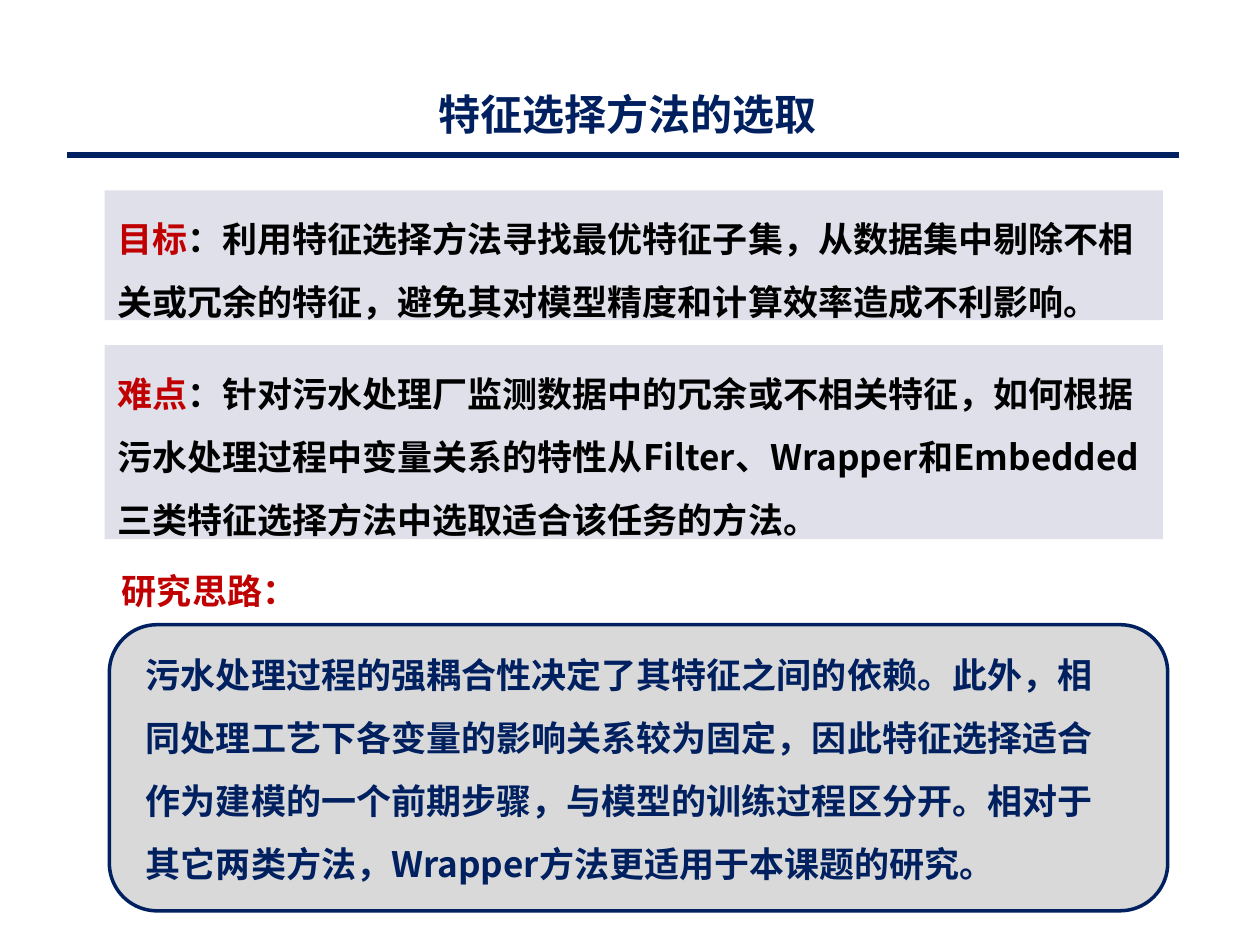
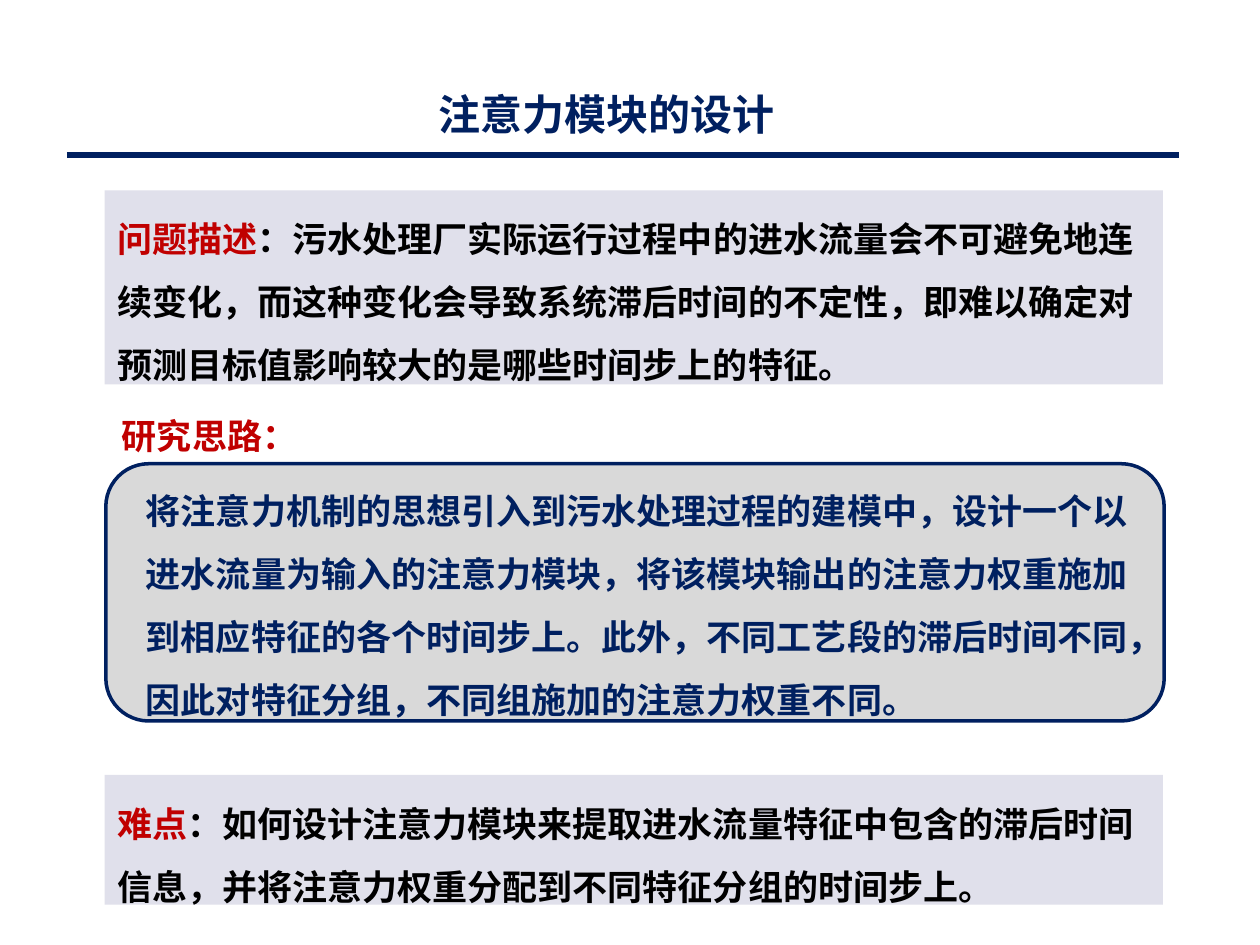
from dataclasses import dataclass

from lxml.etree import SubElement
from pptx import Presentation
from pptx.dml.color import RGBColor
from pptx.enum.shapes import MSO_CONNECTOR, MSO_SHAPE
from pptx.enum.text import MSO_ANCHOR, MSO_AUTO_SIZE, PP_ALIGN
from pptx.oxml.ns import qn
from pptx.util import Pt

FONT = "Noto Sans CJK SC"
NAVY, RED, BLACK = "002060", "C00000", "000000"
LAVENDER, GREY = "E0E0EB", "D9D9D9"
PANEL_LEFT, PANEL_WIDTH = 59.8, 604.8
TWO_LINES, THREE_LINES = 74.2, 110.9


@dataclass
class Panel:
    """A shaded statement that opens with a red keyword."""
    top: float
    height: float
    keyword: str
    text: str


@dataclass
class Idea:
    """A rounded card with its heading and its text box."""
    heading_top: float
    card: tuple[float, float, float]
    text_top: float
    text_width: float
    text: str


@dataclass
class Page:
    """The content of one slide."""
    title: str
    title_width: float
    panels: list[Panel]
    idea: Idea


PAGES = [
    Page("特征选择方法的选取", 234, [
        Panel(108.8, TWO_LINES, "目标",
              "：利用特征选择方法寻找最优特征子集，从数据集中剔除不相关或冗余的特征，"
              "避免其对模型精度和计算效率造成不利影响。"),
        Panel(197.2, THREE_LINES, "难点",
              "：针对污水处理厂监测数据中的冗余或不相关特征，如何根据污水处理过程中变量关系的特性"
              "从Filter、Wrapper和Embedded三类特征选择方法中选取适合该任务的方法。"),
    ], Idea(321.8, (62.5, 357, 163.5), 357.8, 568,
            "污水处理过程的强耦合性决定了其特征之间的依赖。此外，相同处理工艺下各变量的影响关系"
            "较为固定，因此特征选择适合作为建模的一个前期步骤，与模型的训练过程区分开。"
            "相对于其它两类方法，Wrapper方法更适用于本课题的研究。")),
    Page("注意力模块的设计", 209.5, [
        Panel(108.8, THREE_LINES, "问题描述",
              "：污水处理厂实际运行过程中的进水流量会不可避免地连续变化，而这种变化会导致系统"
              "滞后时间的不定性，即难以确定对预测目标值影响较大的是哪些时间步上的特征。"),
        Panel(442.8, TWO_LINES, "难点",
              "：如何设计注意力模块来提取进水流量特征中包含的滞后时间信息，"
              "并将注意力权重分配到不同特征分组的时间步上。"),
    ], Idea(233.3, (60.5, 265, 147), 264.2, 584,
            "将注意力机制的思想引入到污水处理过程的建模中，设计一个以进水流量为输入的注意力模块，"
            "将该模块输出的注意力权重施加到相应特征的各个时间步上。此外，不同工艺段的滞后时间不同，"
            "因此对特征分组，不同组施加的注意力权重不同。")),
]


def rgb(value: str) -> RGBColor:
    """Turn a hex string into a colour."""
    return RGBColor.from_string(value)


def assign(target, values: dict) -> None:
    """Set each named attribute of the target."""
    for name, value in values.items():
        setattr(target, name, value)


def write(sp, runs: list[tuple[str, str]], size: float = 20,
          spacing: float = 1.0, wrap: bool = True) -> None:
    """Fill a shape with one left-aligned bold paragraph."""
    tf = sp.text_frame
    assign(tf, {"word_wrap": wrap, "auto_size": MSO_AUTO_SIZE.SHAPE_TO_FIT_TEXT,
                "vertical_anchor": MSO_ANCHOR.TOP})
    p = tf.paragraphs[0]
    assign(p, {"alignment": PP_ALIGN.LEFT, "line_spacing": spacing})
    for text, color in runs:
        r = p.add_run()
        r.text = text
        assign(r.font, {"size": Pt(size), "bold": True, "name": FONT})
        r.font.color.rgb = rgb(color)
        SubElement(r.font._element, qn("a:ea"), typeface=FONT)


def add_box(s, kind: MSO_SHAPE, left: float, top: float, height: float,
            fill: str, line: str | None = None):
    """Draw a filled shape of the common panel width."""
    sp = s.shapes.add_shape(kind, Pt(left), Pt(top), Pt(PANEL_WIDTH), Pt(height))
    sp.shadow.inherit = False
    sp.fill.solid()
    sp.fill.fore_color.rgb = rgb(fill)
    if line:
        sp.line.color.rgb = rgb(line)
        sp.line.width = Pt(2)
    else:
        sp.line.fill.background()
    return sp


def add_text(s, left: float, top: float, width: float, height: float):
    """Add an empty text box."""
    return s.shapes.add_textbox(Pt(left), Pt(top), Pt(width), Pt(height))


def add_header(s, page: Page) -> None:
    """Place the title and the rule below it."""
    rule = s.shapes.add_connector(MSO_CONNECTOR.STRAIGHT, Pt(38.2), Pt(88.6), Pt(674), Pt(88.6))
    rule.line.color.rgb = rgb(NAVY)
    rule.line.width = Pt(3)
    SubElement(rule._element.spPr, qn("a:effectLst"))
    title = s.shapes.title
    assign(title, {"left": Pt(243.4), "top": Pt(46.8),
                   "width": Pt(page.title_width), "height": Pt(36)})
    write(title, [(page.title, NAVY)], size=24, wrap=False)


def add_panel(s, panel: Panel) -> None:
    """Draw a shaded statement."""
    sp = add_box(s, MSO_SHAPE.RECTANGLE, PANEL_LEFT, panel.top, panel.height, LAVENDER)
    write(sp, [(panel.keyword, RED), (panel.text, BLACK)], spacing=1.5)


def add_idea(s, idea: Idea) -> None:
    """Draw the research idea card and its heading."""
    add_box(s, MSO_SHAPE.ROUNDED_RECTANGLE, *idea.card, GREY, NAVY)
    body = add_text(s, 76.3, idea.text_top, idea.text_width, 147)
    write(body, [(idea.text, NAVY)], spacing=1.5)
    heading = add_text(s, 62.6, idea.heading_top, 108.7, 31.5)
    write(heading, [("研究思路：", RED)])


def main() -> None:
    """Build and save the slides."""
    prs = Presentation()
    assign(prs, {"slide_width": Pt(720), "slide_height": Pt(540)})
    for page in PAGES:
        s = prs.slides.add_slide(prs.slide_layouts[5])
        add_header(s, page)
        for panel in page.panels:
            add_panel(s, panel)
        add_idea(s, page.idea)
    prs.save("out.pptx")


if __name__ == "__main__":
    main()
